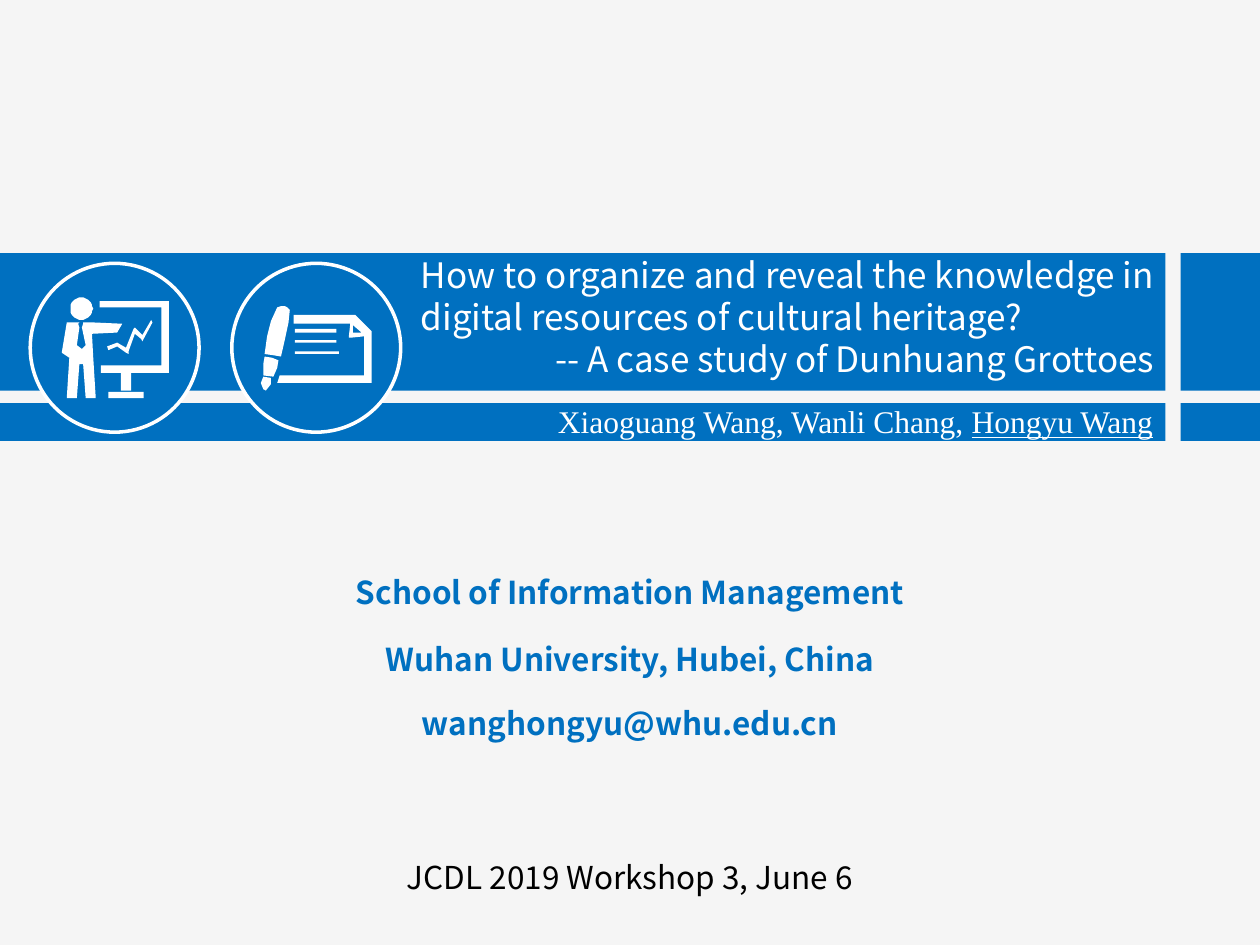
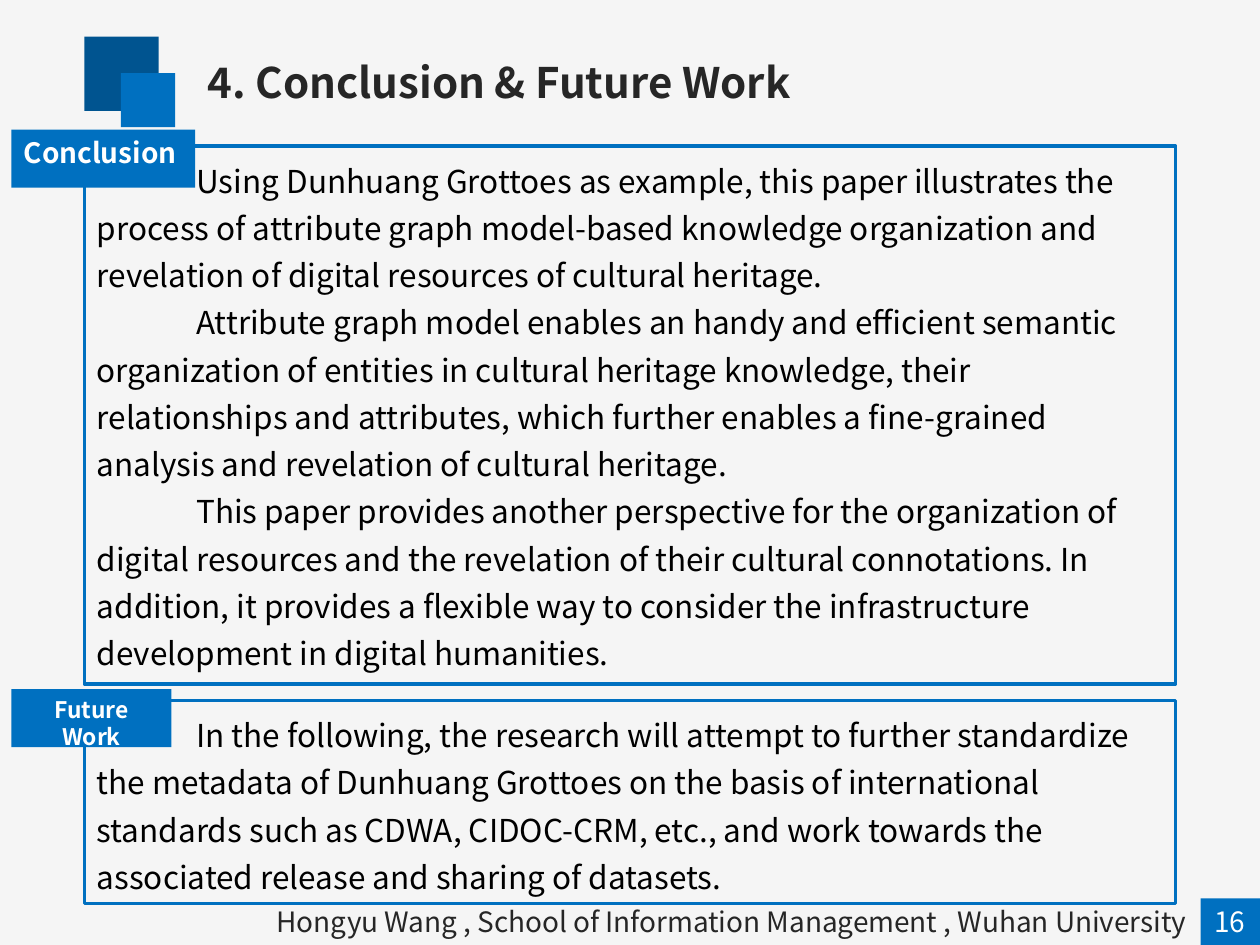
import math
from dataclasses import dataclass, replace

import lxml.etree
import pptx
import pptx.dml.color
import pptx.enum.shapes
import pptx.enum.text
import pptx.util

RGBColor = pptx.dml.color.RGBColor
Align = pptx.enum.text.PP_ALIGN
Preset = pptx.enum.shapes.MSO_SHAPE

BLUE = RGBColor(0x00, 0x70, 0xC0)
DEEP_BLUE = RGBColor(0x00, 0x54, 0x90)
PAPER = RGBColor(0xF5, 0xF5, 0xF5)
WHITE = RGBColor(0xFF, 0xFF, 0xFF)
BLACK = RGBColor(0x00, 0x00, 0x00)
CHARCOAL = RGBColor(0x26, 0x26, 0x26)

SANS = "Noto Sans CJK SC"
SERIF = "Times New Roman"

# The slide is a grid of 100 columns by 75 rows of square cells.
COLUMNS, ROWS = 100, 75
CELL = pptx.util.Inches(0.1)
ICON_UNITS_PER_CELL = 10

Points = list[tuple[float, float]]


@dataclass(frozen=True)
class Area:
    """A place on the grid, in columns and rows."""
    left: float
    top: float
    width: float
    height: float

    def lengths(self) -> list[int]:
        return [round(cells * CELL)
                for cells in (self.left, self.top, self.width, self.height)]


@dataclass(frozen=True)
class Style:
    size: float
    color: RGBColor
    bold: bool = False
    font: str = SANS
    align: Align = Align.LEFT
    spacing: float = 1.0
    indent: float = 0


@dataclass(frozen=True)
class Span:
    text: str
    underline: bool = False


@dataclass(frozen=True)
class Para:
    spans: list[Span]
    style: Style


@dataclass(frozen=True)
class Section:
    """A framed text with a label on its upper left corner."""
    label: str
    label_area: Area
    label_size: float
    frame_area: Area
    texts: list[str]


HEADLINE = Style(20, WHITE, align=Align.JUSTIFY)
AUTHORS = Style(18, WHITE, font=SERIF, align=Align.RIGHT, spacing=1.25)
CONTACT = Style(18, BLUE, bold=True, align=Align.CENTER)
EVENT = Style(18, BLACK, align=Align.CENTER)
SLIDE_TITLE = Style(24, CHARCOAL, bold=True)
BODY = Style(18, BLACK, spacing=1.25, indent=7.9)
LABEL = Style(16, WHITE, bold=True, align=Align.CENTER)
FOOTER = Style(16, CHARCOAL, align=Align.RIGHT)
PAGE_NUMBER = Style(16, WHITE, align=Align.CENTER)

SECTIONS = [
    Section("Conclusion ", Area(0.9, 10.3, 14.6, 4.6), 16, Area(6.7, 11.6, 86.6, 42.7), [
        "Using Dunhuang Grottoes as example, this paper illustrates the process of "
        "attribute graph model-based knowledge organization and revelation of digital "
        "resources of cultural heritage.",
        "Attribute graph model enables an handy and efficient semantic organization of "
        "entities in cultural heritage knowledge, their relationships and attributes, "
        "which further enables a fine-grained analysis and revelation of cultural heritage.",
        "This paper provides another perspective for the organization of digital resources "
        "and the revelation of their cultural connotations. In addition, it provides a "
        "flexible way to consider the infrastructure development in digital humanities.",
    ]),
    Section("Future Work", Area(0.9, 54.7, 12.7, 4.6), 13, Area(6.7, 55.6, 86.6, 16.1), [
        "In the following, the research will attempt to further standardize the metadata "
        "of Dunhuang Grottoes on the basis of international standards such as CDWA, "
        "CIDOC-CRM, etc., and work towards the associated release and sharing of datasets.",
    ]),
]


def bar(left: float, top: float, right: float, bottom: float) -> Points:
    return [(left, top), (right, top), (right, bottom), (left, bottom)]


def disc(x: float, y: float, radius: float, steps: int = 32) -> Points:
    angles = [2 * math.pi * step / steps for step in range(steps)]
    return [(x + radius * math.cos(angle), y + radius * math.sin(angle))
            for angle in angles]


PRESENTER_ICON = [
    disc(64.5, 245, 9),
    # chart line
    [(85, 275), (93, 272), (100, 276), (106, 261), (107, 260), (113, 266), (120, 254),
     (121, 256), (114, 269), (113, 271), (112, 269), (107, 265), (102, 279), (102, 281),
     (100, 280), (93, 275), (86, 278)],
    # foot of the board
    bar(86, 311, 114, 316),
    # board
    [(104, 296), (134, 296), (134, 239), (79, 239), (79, 244), (128, 244), (128, 290),
     (80, 290), (80, 296), (96, 296), (96, 310), (104, 310)],
    # body
    [(49, 280), (55, 284), (53, 316), (61, 316), (63, 289), (66, 289), (68, 316),
     (76, 316), (74, 284), (73, 265), (93, 264), (97, 257), (75, 256), (66, 256),
     (66, 257), (65, 260), (68, 274), (65, 277), (61, 274), (63, 260), (62, 257),
     (63, 256), (53, 256)],
]

PEN_AND_PAPER_ICON = [
    # pen barrel
    [(220, 244), (223, 243), (226, 243), (228, 244), (230, 246), (229, 256),
     (226.5, 270), (223, 283), (217, 281.5), (210, 281), (212, 267), (215, 255)],
    # sheet
    [(222, 298), (220, 304), (295, 304), (295, 263), (294, 262), (283, 251), (282, 250),
     (233, 250), (233, 257), (278, 257), (277, 266), (277, 268), (279, 268), (289, 267),
     (289, 298)],
    # folded corner
    [(287, 264), (280, 264), (280, 258)],
    # written lines
    bar(234, 279, 269, 281),
    bar(234, 270, 267, 272),
    bar(234, 261, 267, 264),
    # nib
    [(209, 299), (215, 300), (215, 305), (211, 310), (209, 309), (207, 304)],
    # grip
    [(210, 283), (209, 289), (209, 298), (217, 299), (219.5, 292), (221, 286),
     (216, 284)],
]


def add_page(deck):
    page = deck.slides.add_slide(deck.slide_layouts[6])
    page.background.fill.solid()
    page.background.fill.fore_color.rgb = PAPER
    return page


def paint(shape, fill: RGBColor | None, line: RGBColor | None = None) -> None:
    shape.shadow.inherit = False
    if fill is None:
        shape.fill.background()
    else:
        shape.fill.solid()
        shape.fill.fore_color.rgb = fill
    if line is None:
        shape.line.fill.background()
    else:
        shape.line.color.rgb = line
        shape.line.width = pptx.util.Pt(2)


def add_block(page, area: Area, fill: RGBColor | None = BLUE,
              line: RGBColor | None = None, preset: Preset = Preset.RECTANGLE):
    block = page.shapes.add_shape(preset, *area.lengths())
    paint(block, fill, line)
    return block


def write(box, paras: list[Para]) -> None:
    frame = box.text_frame
    frame.word_wrap = True
    frame.vertical_anchor = pptx.enum.text.MSO_ANCHOR.TOP
    for index, para in enumerate(paras):
        style = para.style
        paragraph = frame.add_paragraph() if index else frame.paragraphs[0]
        paragraph.alignment = style.align
        paragraph.line_spacing = style.spacing
        if style.indent:
            properties = paragraph._p.get_or_add_pPr()
            properties.set("marL", "0")
            properties.set("indent", str(round(style.indent * CELL)))
        for span in para.spans:
            run = paragraph.add_run()
            run.text = span.text
            run.font.name = style.font
            run.font.size = pptx.util.Pt(style.size)
            run.font.bold = style.bold
            run.font.color.rgb = style.color
            if span.underline:
                run.font.underline = True
            east_asian = lxml.etree.SubElement(
                run._r.rPr, pptx.oxml.ns.qn("a:ea"))
            east_asian.set("typeface", style.font)


def add_text(page, area: Area, paras: list[Para]) -> None:
    write(page.shapes.add_textbox(*area.lengths()), paras)


def line_of(text: str, style: Style) -> Para:
    return Para([Span(text)], style)


def add_icon(page, circle: Area, outlines: list[Points]) -> None:
    """Draw a ringed disc and one white outline made of several contours."""
    add_block(page, circle, BLUE, WHITE, Preset.OVAL)
    builder = page.shapes.build_freeform(
        *outlines[0][0], scale=CELL / ICON_UNITS_PER_CELL)
    for index, outline in enumerate(outlines):
        if index:
            builder.move_to(*outline[0])
        builder.add_line_segments(outline[1:], close=True)
    paint(builder.convert_to_shape(), WHITE)


def build_cover(deck) -> None:
    page = add_page(deck)
    for top, height in ((20.1, 10.9), (32, 3)):
        for left, right in ((0, 92.5), (93.7, COLUMNS)):
            add_block(page, Area(left, top, right - left, height))
    add_text(page, Area(32.4, 19.6, 60.2, 11.1), [
        line_of("How to organize and reveal the knowledge in digital resources "
                "of cultural heritage?", HEADLINE),
        line_of("-- A case study of Dunhuang Grottoes",
                replace(HEADLINE, align=Align.RIGHT)),
    ])
    add_text(page, Area(40.4, 30.7, 52.1, 4.8), [
        Para([Span("Xiaoguang Wang, Wanli Chang, "), Span("Hongyu Wang", True)], AUTHORS),
    ])
    for left, outlines in ((2.4, PRESENTER_ICON), (18.4, PEN_AND_PAPER_ICON)):
        add_icon(page, Area(left, 20.9, 13.4, 13.4), outlines)
    for top, text, style in (
        (45, "School of Information Management", CONTACT),
        (50.3, "Wuhan University, Hubei, China", CONTACT),
        (55.4, "wanghongyu@whu.edu.cn", CONTACT),
        (67.6, "JCDL 2019 Workshop 3, June 6", EVENT),
    ):
        add_text(page, Area(25, top, 50, 4), [line_of(text, style)])


def add_title(page, text: str) -> None:
    add_block(page, Area(6.7, 2.9, 5.9, 5.9), DEEP_BLUE)
    add_block(page, Area(9.6, 5.8, 4.3, 4.3))
    add_text(page, Area(15.5, 4, 77.8, 5), [line_of(text, SLIDE_TITLE)])


def add_footer(page, number: int) -> None:
    top, height = 71.3, 3.7
    add_block(page, Area(95.3, top, 4.7, height))
    add_text(page, Area(94.1, top, 7, height), [line_of(str(number), PAGE_NUMBER)])
    add_text(page, Area(13.3, top, 81.9, height), [line_of(
        "Hongyu Wang , School of Information Management , Wuhan University", FOOTER)])


def add_section(page, section: Section) -> None:
    frame = add_block(page, section.frame_area, None, BLUE)
    write(frame, [line_of(text, BODY) for text in section.texts])
    label = add_block(page, section.label_area)
    write(label, [line_of(section.label, replace(LABEL, size=section.label_size))])


def build_conclusion(deck) -> None:
    page = add_page(deck)
    add_title(page, "4. Conclusion & Future Work")
    add_footer(page, 16)
    for section in SECTIONS:
        add_section(page, section)


def main() -> None:
    deck = pptx.Presentation()
    deck.slide_width = COLUMNS * CELL
    deck.slide_height = ROWS * CELL
    build_cover(deck)
    build_conclusion(deck)
    deck.save("out.pptx")


if __name__ == "__main__":
    main()
